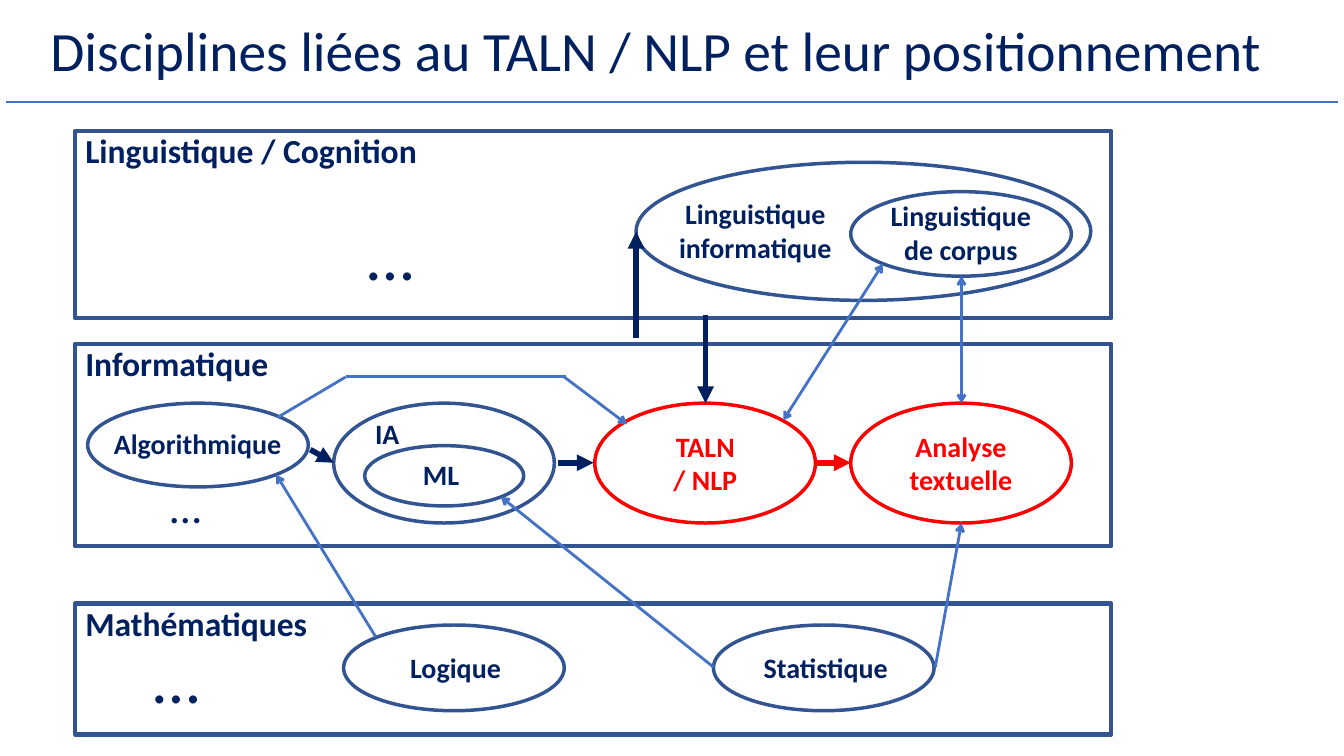
from dataclasses import dataclass

from lxml import etree
from pptx import Presentation
from pptx import util as u
from pptx.dml.color import RGBColor
from pptx.enum import shapes, text
from pptx.oxml.ns import qn
from pptx.slide import Slide


@dataclass(frozen=True)
class Theme:
    font: str = "Calibri"
    navy: str = "002060"
    outline: str = "325491"
    link: str = "4472C4"
    focus: str = "FF0000"
    title_size: float = 39.6
    band_size: float = 24
    label_size: float = 20
    small_dots: float = 32
    large_dots: float = 48


@dataclass(frozen=True)
class Band:
    name: str
    top: float
    height: float


@dataclass(frozen=True)
class Oval:
    left: float
    top: float
    height: float
    width: float = 5.56
    color: str = Theme.outline


@dataclass(frozen=True)
class Label:
    words: str
    left: float
    top: float
    width: float
    height: float = 1.12
    size: float = Theme.label_size
    color: str = Theme.navy
    bold: bool = True
    align: text.PP_ALIGN = text.PP_ALIGN.CENTER


@dataclass(frozen=True)
class Link:
    start: tuple[float, float]
    end: tuple[float, float]
    color: str = Theme.link
    width: float = 2
    head: str = ""
    tail: str = "arrow"


THEME = Theme()
LEFT = text.PP_ALIGN.LEFT
BAND_LEFT, BAND_WIDTH = 1.9, 26.11
BAND_LABEL_RISE = 0.15
DISCIPLINE_TOP = 10.16
MATHS_TOP = 15.75
TWO_LINES = 1.96

BANDS = [
    Band("Informatique", 8.66, 5.11),
    Band("Mathématiques", 15.21, 3.3),
    Band("Linguistique / Cognition", 3.3, 4.72),
]
BAND_LABEL_WIDTHS = [5.18, 6.17, 8.97]

OVALS = [
    Oval(21.44, DISCIPLINE_TOP, 3.02, color=THEME.focus),
    Oval(21.44, 4.83, 2.13),
    Oval(16.03, 4.09, 3.48, width=11.46),
    Oval(14.99, DISCIPLINE_TOP, 3.02, color=THEME.focus),
    Oval(8.41, DISCIPLINE_TOP, 3.02),
    Oval(9.19, 11.23, 1.52, width=4.01),
    Oval(2.21, DISCIPLINE_TOP, 2.11),
    Oval(8.66, MATHS_TOP, 2.16),
    Oval(17.98, MATHS_TOP, 2.16),
]

LABELS = [
    Label("Analyse\ntextuelle", 22.66, 10.69, 3.12, TWO_LINES, color=THEME.focus),
    Label("Linguistique\nde corpus", 22.17, 4.88, 4.09, TWO_LINES),
    Label("Linguistique\ninformatique", 16.84, 4.83, 4.39, TWO_LINES),
    Label("TALN\n/ NLP", 16.71, 10.69, 2.13, TWO_LINES, color=THEME.focus),
    Label("IA", 9.19, 10.36, 1.14),
    Label("ML", 10.39, 11.4, 1.45),
    Label("Algorithmique", 2.59, 10.62, 4.78),
    Label("Logique", 10.06, 16.26, 2.84),
    Label("Statistique", 18.97, 16.26, 3.68),
    Label("…", 4.04, 11.94, 1.3, 1.63, THEME.small_dots, bold=False, align=LEFT),
    Label("…", 9.02, 5.26, 1.7, 2.31, THEME.large_dots, bold=False, align=LEFT),
    Label("…", 3.63, 15.9, 1.7, 2.31, THEME.large_dots, bold=False, align=LEFT),
]

LINKS = [
    Link((0.15, 2.57), (33.71, 2.57), tail=""),
    Link((20.55, 11.66), (21.44, 11.66), THEME.focus, 4, tail="triangle"),
    Link((14.07, 11.66), (14.96, 11.66), THEME.navy, 4, tail="triangle"),
    Link((6.99, 10.52), (8.71, 9.5), tail=""),
    Link((8.71, 9.48), (14.27, 9.48), tail=""),
    Link((14.22, 9.5), (15.8, 10.69)),
    Link((22.25, 6.65), (19.74, 10.59), head="arrow"),
    Link((7.82, 11.33), (8.41, 11.66), THEME.navy, 4, tail="triangle"),
    Link((9.47, 16.05), (6.96, 11.96)),
    Link((17.98, 16.81), (12.62, 12.52)),
    Link((23.57, 16.81), (24.23, 13.18)),
    Link((16.03, 8.51), (16.03, 5.84), THEME.navy, 4, tail="triangle"),
    Link((24.23, 6.96), (24.23, 10.16), head="arrow"),
    Link((17.78, 7.95), (17.78, 10.16), THEME.navy, 4, tail="triangle"),
]


def draw_outline(page: Slide, kind: shapes.MSO_SHAPE, left: float, top: float,
                 width: float, height: float, color: str, weight: float) -> None:
    shape = page.shapes.add_shape(kind, u.Cm(left), u.Cm(top), u.Cm(width), u.Cm(height))
    shape.shadow.inherit = False
    shape.fill.background()
    shape.line.color.rgb = RGBColor.from_string(color)
    shape.line.width = u.Pt(weight)


def draw_label(page: Slide, label: Label) -> text.MSO_ANCHOR:
    box = page.shapes.add_textbox(
        u.Cm(label.left), u.Cm(label.top), u.Cm(label.width), u.Cm(label.height))
    frame = box.text_frame
    frame.word_wrap = False
    frame.text = label.words
    for para in frame.paragraphs:
        para.alignment = label.align
        para.font.name = THEME.font
        para.font.size = u.Pt(label.size)
        para.font.bold = label.bold
        para.font.color.rgb = RGBColor.from_string(label.color)
    return frame


def draw_title(page: Slide) -> None:
    title = Label("Disciplines liées au TALN / NLP et leur positionnement",
                  1.02, 0.43, 31.83, 1.83, THEME.title_size, bold=False, align=LEFT)
    frame = draw_label(page, title)
    frame.word_wrap = True
    frame.vertical_anchor = text.MSO_ANCHOR.MIDDLE
    frame.paragraphs[0].line_spacing = 0.9


def draw_band(page: Slide, band: Band, label_width: float) -> None:
    draw_outline(page, shapes.MSO_SHAPE.RECTANGLE, BAND_LEFT, band.top,
                 BAND_WIDTH, band.height, THEME.outline, 3)
    draw_label(page, Label(band.name, BAND_LEFT, band.top - BAND_LABEL_RISE,
                           label_width, 1.27, THEME.band_size, align=LEFT))


def draw_link(page: Slide, link: Link) -> None:
    ends = [u.Cm(value) for value in (*link.start, *link.end)]
    connector = page.shapes.add_connector(shapes.MSO_CONNECTOR.STRAIGHT, *ends)
    connector.line.color.rgb = RGBColor.from_string(link.color)
    connector.line.width = u.Pt(link.width)
    properties = connector._element.spPr
    for tag, arrow in (("a:headEnd", link.head), ("a:tailEnd", link.tail)):
        if arrow:
            etree.SubElement(properties.find(qn("a:ln")), qn(tag), type=arrow)
    etree.SubElement(properties, qn("a:effectLst"))


def main() -> None:
    deck = Presentation()
    deck.slide_width, deck.slide_height = u.Cm(33.87), u.Cm(19.05)
    page = deck.slides.add_slide(deck.slide_layouts[6])
    draw_title(page)
    for band, label_width in zip(BANDS, BAND_LABEL_WIDTHS):
        draw_band(page, band, label_width)
    for oval in OVALS:
        draw_outline(page, shapes.MSO_SHAPE.OVAL, oval.left, oval.top,
                     oval.width, oval.height, oval.color, 2.5)
    for label in LABELS:
        draw_label(page, label)
    for link in LINKS:
        draw_link(page, link)
    deck.save("out.pptx")


if __name__ == "__main__":
    main()
